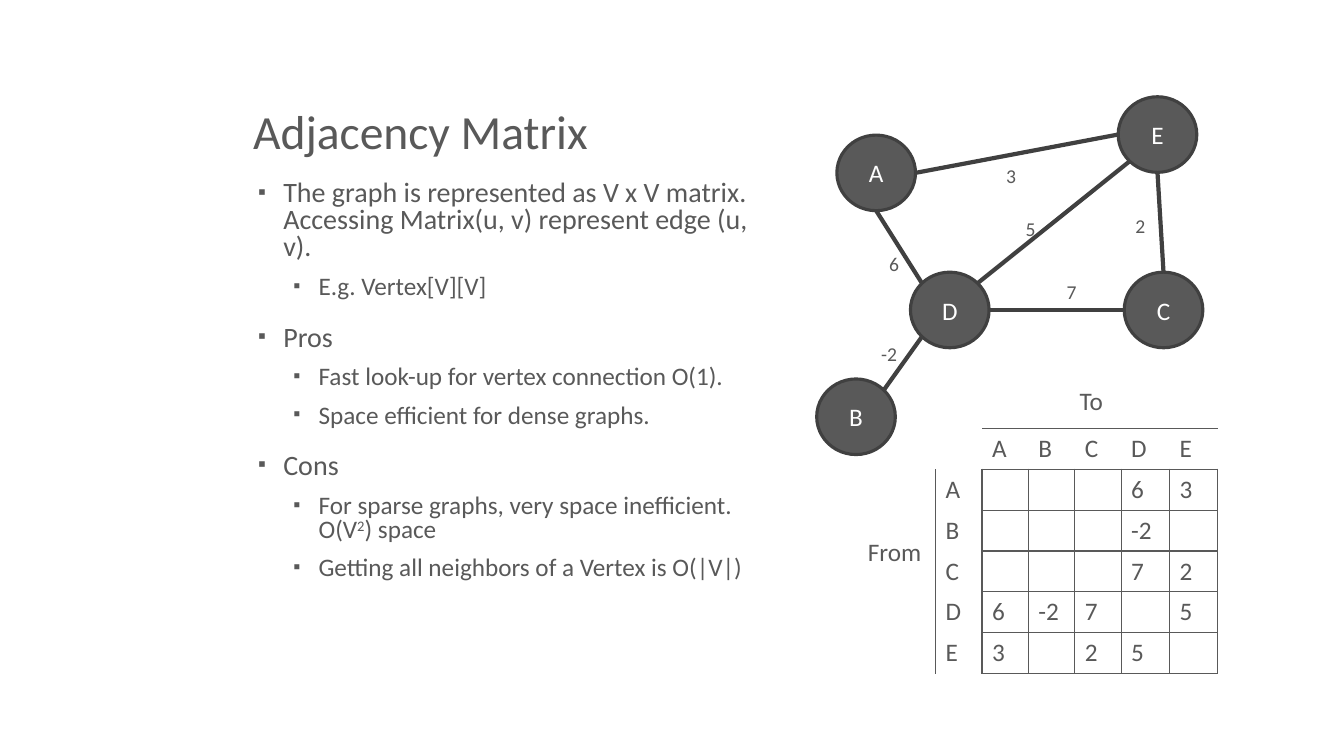
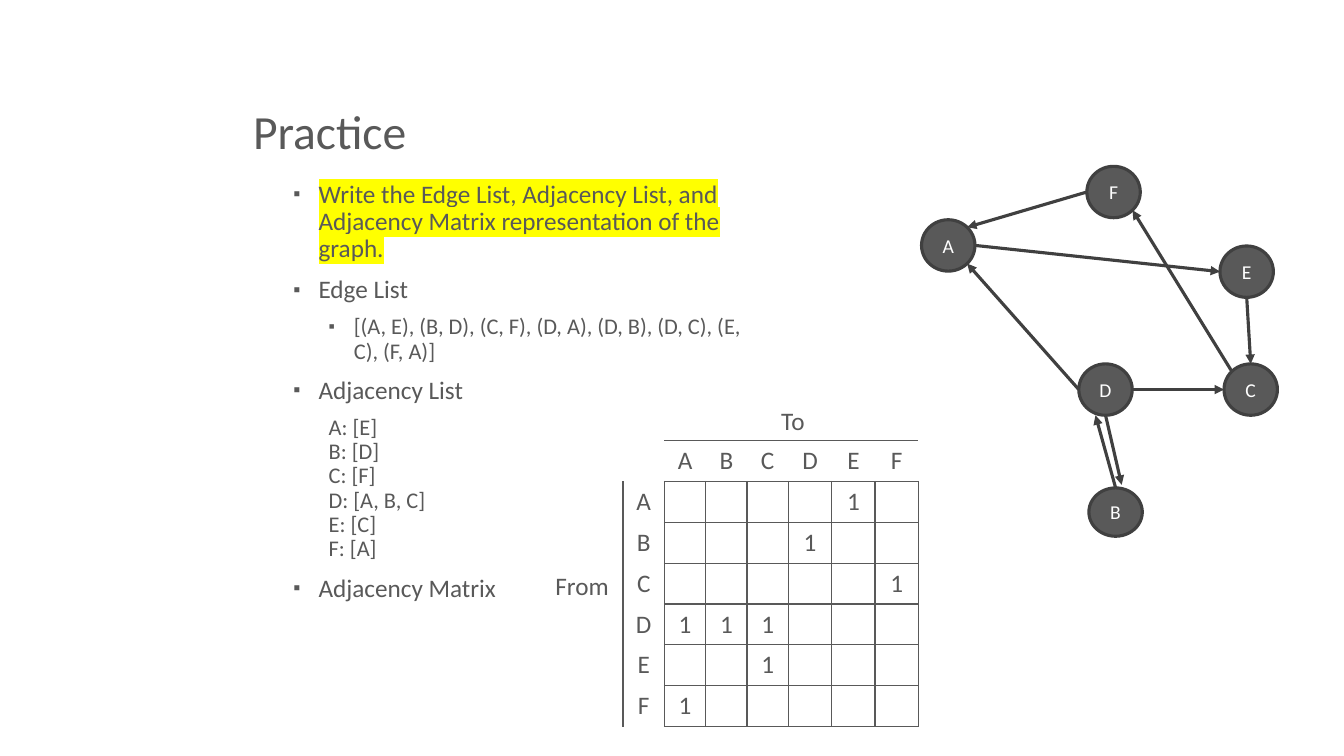
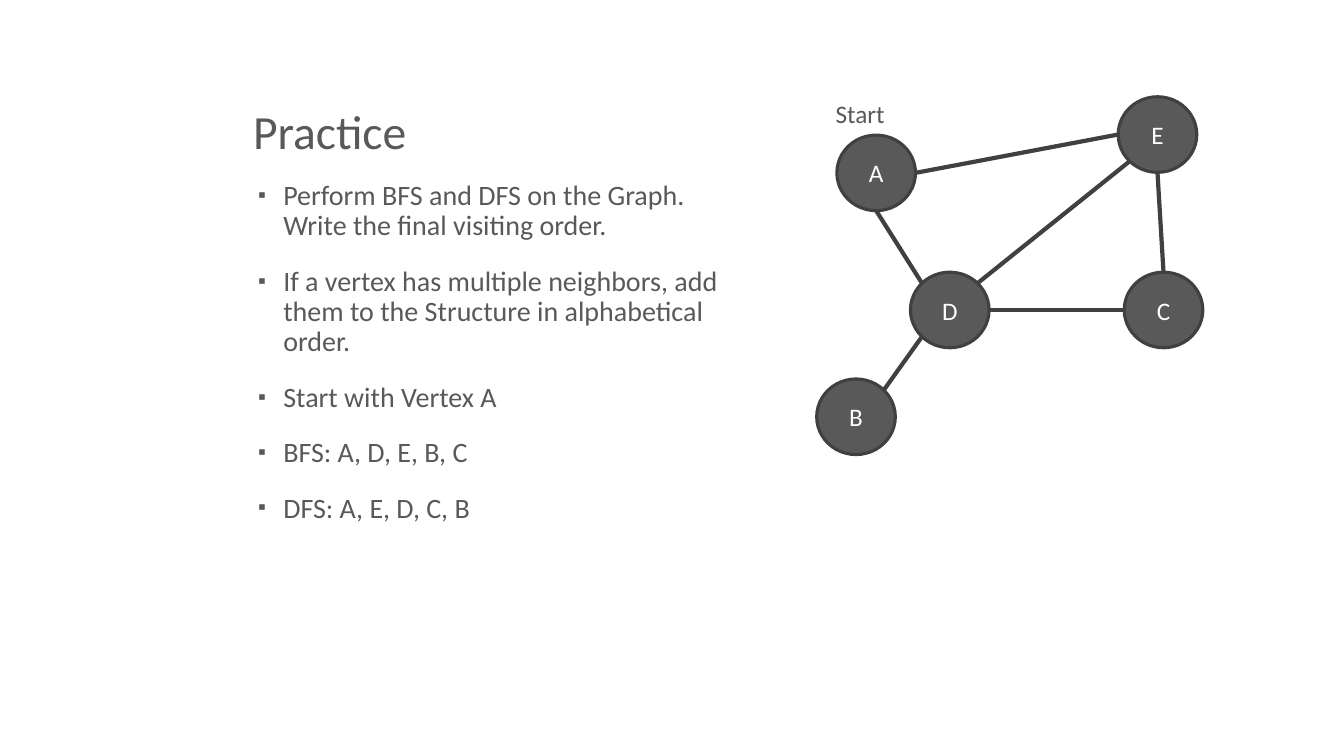
from dataclasses import dataclass
from typing import Any, Optional

from lxml.etree import SubElement
from pptx import Presentation
from pptx.dml.color import RGBColor
from pptx.enum.shapes import MSO_CONNECTOR, MSO_SHAPE
from pptx.enum.text import MSO_ANCHOR, MSO_AUTO_SIZE, PP_ALIGN
from pptx.oxml.ns import qn
from pptx.util import Inches, Pt


@dataclass(frozen=True)
class Theme:
    font: str = "Calibri"
    ink: str = "595959"
    outline: str = "404040"
    paper: str = "FFFFFF"
    highlight: str = "FFFF00"
    title_size: int = 34
    level_sizes: tuple[int, ...] = (20, 18, 16)
    level_space: tuple[int, ...] = (18, 10, 8)
    level_indent: tuple[float, ...] = (0.3, 0.65, 1)
    hanging: float = 0.25
    plain_indent: float = 0.75
    label_size: int = 18
    weight_size: int = 14
    node_line: float = 2.25
    row_height: float = 0.4
    no_table_style: str = "{2D5ABB26-0587-4C30-8999-92F81FD0307C}"


THEME = Theme()


@dataclass(frozen=True)
class Item:
    text: str
    level: int = 0
    bullet: bool = True
    highlighted: bool = False


@dataclass(frozen=True)
class Label:
    text: str
    left: float
    top: float
    width: float
    height: float = 0.4
    size: int = THEME.label_size
    wrap: bool = False


@dataclass(frozen=True)
class Node:
    name: str
    left: float
    top: float
    height: float


@dataclass(frozen=True)
class Edge:
    start: str
    start_site: str
    end: str
    end_site: str
    weight: int = 1
    label: Optional[tuple[float, float, float]] = None
    end_shift: tuple[float, float] = (0, 0)


@dataclass(frozen=True)
class Graph:
    nodes: tuple[Node, ...]
    edges: tuple[Edge, ...]
    node_width: float
    text_size: int
    edge_line: float
    directed: bool


@dataclass(frozen=True)
class Matrix:
    left: float
    top: float
    widths: tuple[float, ...]
    alignment: Any


DIAGONAL = 0.5 ** 0.5
SITES = {
    "top": (0, -1), "bottom": (0, 1), "left": (-1, 0), "right": (1, 0),
    "top left": (-DIAGONAL, -DIAGONAL), "top right": (DIAGONAL, -DIAGONAL),
    "bottom left": (-DIAGONAL, DIAGONAL), "bottom right": (DIAGONAL, DIAGONAL),
}

WEIGHTED = Graph(
    nodes=(
        Node("A", 8.3, 1.34, 0.75),
        Node("C", 11.15, 2.7, 0.75),
        Node("B", 8.1, 3.76, 0.75),
        Node("D", 9.03, 2.7, 0.75),
        Node("E", 11.09, 0.96, 0.75),
    ),
    edges=(
        Edge("A", "bottom", "D", "top left", 6, (8.72, 2.45, 0.21)),
        Edge("B", "top right", "D", "bottom left", -2, (8.64, 3.34, 0.41)),
        Edge("C", "left", "D", "right", 7, (10.48, 2.73, 0.21)),
        Edge("C", "top", "E", "bottom", 2, (11.21, 2.07, 0.15)),
        Edge("A", "right", "E", "left", 3, (9.88, 1.58, 0.21)),
        Edge("D", "top right", "E", "bottom left", 5, (10.1, 2.1, 0.17)),
    ),
    node_width=0.78, text_size=18, edge_line=3, directed=False,
)

DIRECTED = Graph(
    nodes=(
        Node("A", 9.14, 2.18, 0.51),
        Node("C", 12.14, 3.61, 0.51),
        Node("D", 10.7, 3.61, 0.51),
        Node("E", 12.1, 2.44, 0.51),
        Node("F", 10.78, 1.65, 0.51),
        Node("B", 10.8, 4.84, 0.48),
    ),
    edges=(
        Edge("D", "bottom", "B", "top", end_shift=(0.06, -0.03)),
        Edge("F", "left", "A", "top right"),
        Edge("A", "right", "E", "left"),
        Edge("E", "bottom", "C", "top"),
        Edge("D", "right", "C", "left"),
        Edge("D", "left", "A", "bottom right"),
        Edge("B", "top", "D", "bottom", end_shift=(-0.1, 0)),
        Edge("C", "top left", "F", "bottom right"),
    ),
    node_width=0.53, text_size=14, edge_line=2.25, directed=True,
)


def apply_format(target: Any, values: dict[str, Any]) -> None:
    for name, value in values.items():
        setattr(target, name, value)


def format_font(font: Any, size: float, color: str = THEME.ink) -> None:
    apply_format(font, {"name": THEME.font, "size": Pt(size), "bold": False})
    font.color.rgb = RGBColor.from_string(color)


def place(shape: Any, left: float, top: float, width: float, height: float) -> None:
    apply_format(shape, {
        "left": Inches(left), "top": Inches(top),
        "width": Inches(width), "height": Inches(height),
    })


def add_title(slide: Any, text: str) -> None:
    title = slide.shapes.title
    place(title, 2.41, 0.33, 10.25, 1.31)
    apply_format(title.text_frame, {
        "text": text, "vertical_anchor": MSO_ANCHOR.BOTTOM,
        "word_wrap": True, "auto_size": MSO_AUTO_SIZE.NONE,
    })
    paragraph = title.text_frame.paragraphs[0]
    apply_format(paragraph, {"alignment": PP_ALIGN.LEFT, "line_spacing": 0.9})
    format_font(paragraph.runs[0].font, THEME.title_size)


def set_bullet(paragraph: Any, item: Item) -> None:
    properties = paragraph._p.get_or_add_pPr()
    hanging = THEME.hanging if item.bullet else 0
    indent = THEME.level_indent[item.level] if item.bullet else THEME.plain_indent
    properties.set("marL", str(Inches(indent)))
    properties.set("indent", str(-Inches(hanging)))
    if item.bullet:
        SubElement(properties, qn("a:buSzPct"), val="80000")
        SubElement(properties, qn("a:buFont"), typeface="Arial")
        SubElement(properties, qn("a:buChar"), char="▪")
    else:
        SubElement(properties, qn("a:buNone"))


def add_runs(paragraph: Any, item: Item) -> None:
    size = THEME.level_sizes[item.level]
    for line_number, line in enumerate(item.text.split("\n")):
        if line_number:
            paragraph.add_line_break()
        for piece_number, piece in enumerate(line.split("^")):
            run = paragraph.add_run()
            run.text = piece
            format_font(run.font, size)
            properties = run._r.get_or_add_rPr()
            if piece_number % 2:
                properties.set("baseline", "30000")
            if item.highlighted:
                highlight = SubElement(properties, qn("a:highlight"))
                SubElement(highlight, qn("a:srgbClr"), val=THEME.highlight)
                properties.find(qn("a:latin")).addprevious(highlight)
    for line_break in paragraph._p.findall(qn("a:br")):
        SubElement(line_break, qn("a:rPr"), sz=str(size * 100))


def add_body(slide: Any, items: list[Item], width: float, height: float,
             line_spacing: float) -> None:
    body = slide.placeholders[1]
    place(body, 2.41, 1.75, width, height)
    frame = body.text_frame
    apply_format(frame, {
        "word_wrap": True, "auto_size": MSO_AUTO_SIZE.NONE,
        "vertical_anchor": MSO_ANCHOR.TOP,
    })
    for number, item in enumerate(items):
        paragraph = frame.add_paragraph() if number else frame.paragraphs[0]
        set_bullet(paragraph, item)
        apply_format(paragraph, {
            "level": item.level, "line_spacing": line_spacing,
            "space_before": Pt(THEME.level_space[item.level] if number else 0),
        })
        add_runs(paragraph, item)


def add_label(slide: Any, label: Label) -> None:
    box = slide.shapes.add_textbox(
        Inches(label.left), Inches(label.top), Inches(label.width), Inches(label.height))
    apply_format(box.text_frame, {
        "text": label.text, "word_wrap": label.wrap,
        "auto_size": MSO_AUTO_SIZE.SHAPE_TO_FIT_TEXT,
    })
    format_font(box.text_frame.paragraphs[0].runs[0].font, label.size)


def site_point(node: Node, width: float, site: str) -> tuple[float, float]:
    across, down = SITES[site]
    return (node.left + width / 2 * (1 + across),
            node.top + node.height / 2 * (1 + down))


def add_node(shapes: Any, node: Node, graph: Graph) -> None:
    shape = shapes.add_shape(
        MSO_SHAPE.OVAL, Inches(node.left), Inches(node.top),
        Inches(graph.node_width), Inches(node.height))
    shape.shadow.inherit = False
    shape.fill.solid()
    shape.fill.fore_color.rgb = RGBColor.from_string(THEME.ink)
    shape.line.color.rgb = RGBColor.from_string(THEME.outline)
    shape.line.width = Pt(THEME.node_line)
    apply_format(shape.text_frame, {
        "text": node.name, "vertical_anchor": MSO_ANCHOR.MIDDLE})
    paragraph = shape.text_frame.paragraphs[0]
    paragraph.alignment = PP_ALIGN.CENTER
    format_font(paragraph.runs[0].font, graph.text_size, THEME.paper)


def add_edge(shapes: Any, edge: Edge, graph: Graph) -> None:
    nodes = {node.name: node for node in graph.nodes}
    start_x, start_y = site_point(nodes[edge.start], graph.node_width, edge.start_site)
    end_x, end_y = site_point(nodes[edge.end], graph.node_width, edge.end_site)
    shift_x, shift_y = edge.end_shift
    connector = shapes.add_connector(
        MSO_CONNECTOR.STRAIGHT, Inches(start_x), Inches(start_y),
        Inches(end_x + shift_x), Inches(end_y + shift_y))
    connector.line.color.rgb = RGBColor.from_string(THEME.outline)
    connector.line.width = Pt(graph.edge_line)
    properties = connector._element.spPr
    if graph.directed:
        SubElement(properties.find(qn("a:ln")), qn("a:tailEnd"), type="triangle")
    SubElement(properties, qn("a:effectLst"))


def add_graph(slide: Any, graph: Graph) -> None:
    group = slide.shapes.add_group_shape()
    for node in graph.nodes:
        add_node(group.shapes, node, graph)
    for edge in graph.edges:
        add_edge(group.shapes, edge, graph)


def add_weights(slide: Any, graph: Graph) -> None:
    for edge in graph.edges:
        if edge.label:
            left, top, width = edge.label
            add_label(slide, Label(str(edge.weight), left, top, width, 0.25,
                                   THEME.weight_size, True))


def matrix_rows(graph: Graph) -> list[list[str]]:
    names = sorted(node.name for node in graph.nodes)
    weights = {(edge.start, edge.end): str(edge.weight) for edge in graph.edges}
    if not graph.directed:
        weights.update({(end, start): weight for (start, end), weight in weights.items()})
    return [["", *names]] + [
        [start, *(weights.get((start, end), "") for end in names)] for start in names]


def set_borders(cell: Any, sides: str) -> None:
    properties = cell._tc.get_or_add_tcPr()
    for position, side in enumerate(side for side in "LRTB" if side in sides):
        border = SubElement(properties, qn(f"a:ln{side}"), w=str(Pt(1)))
        fill = SubElement(border, qn("a:solidFill"))
        SubElement(fill, qn("a:srgbClr"), val=THEME.ink)
        properties.insert(position, border)


def add_matrix(slide: Any, matrix: Matrix, graph: Graph) -> None:
    rows = matrix_rows(graph)
    frame = slide.shapes.add_table(
        len(rows), len(rows), Inches(matrix.left), Inches(matrix.top),
        Inches(sum(matrix.widths)), Inches(THEME.row_height * len(rows)))
    table = frame.table
    apply_format(table, {"first_row": False, "horz_banding": False})
    table._tbl.tblPr.find(qn("a:tableStyleId")).text = THEME.no_table_style
    for column, width in zip(table.columns, matrix.widths):
        column.width = Inches(width)
    for row_number, row in enumerate(rows):
        table.rows[row_number].height = Inches(THEME.row_height)
        for column_number, text in enumerate(row):
            cell = table.cell(row_number, column_number)
            cell.fill.solid()
            cell.fill.fore_color.rgb = RGBColor.from_string(THEME.paper)
            set_borders(cell, ("LR" if row_number else "") + ("TB" if column_number else ""))
            paragraph = cell.text_frame.paragraphs[0]
            paragraph.alignment = matrix.alignment
            if text:
                run = paragraph.add_run()
                run.text = text
                format_font(run.font, THEME.label_size)


def add_slide(presentation: Any, title: str) -> Any:
    slide = presentation.slides.add_slide(presentation.slide_layouts[1])
    add_title(slide, title)
    return slide


def build_adjacency_matrix(presentation: Any) -> None:
    slide = add_slide(presentation, "Adjacency Matrix")
    add_body(slide, [
        Item("The graph is represented as V x V matrix. "
             "Accessing Matrix(u, v) represent edge (u, v)."),
        Item("E.g. Vertex[V][V]", 1),
        Item("Pros"),
        Item("Fast look-up for vertex connection O(1).", 1),
        Item("Space efficient for dense graphs.", 1),
        Item("Cons"),
        Item("For sparse graphs, very space inefficient. O(V^2^) space", 1),
        Item("Getting all neighbors of a Vertex is O(|V|)", 1),
    ], 5.13, 4.75, 0.8)
    add_graph(slide, WEIGHTED)
    add_matrix(slide, Matrix(9.28, 4.25, (0.46,) * 4 + (0.48,) * 2, PP_ALIGN.LEFT), WEIGHTED)
    add_weights(slide, WEIGHTED)
    add_label(slide, Label("From", 8.51, 5.27, 0.78))
    add_label(slide, Label("To", 10.61, 3.77, 0.48))


def build_representation_practice(presentation: Any) -> None:
    slide = add_slide(presentation, "Practice")
    add_body(slide, [
        Item("Write the Edge List, Adjacency List, and Adjacency Matrix "
             "representation of the graph.", 1, highlighted=True),
        Item("Edge List", 1),
        Item("[(A, E), (B, D), (C, F), (D, A), (D, B), (D, C), (E, C), (F, A)]", 2),
        Item("Adjacency List", 1),
        Item("A: [E]\nB: [D]\nC: [F]\nD: [A, B, C]\nE: [C]\nF: [A]", 2, bullet=False),
        Item("Adjacency Matrix", 1),
    ], 5.11, 4.5, 0.9)
    add_graph(slide, DIRECTED)
    add_matrix(slide, Matrix(6.18, 4.37, (0.41,) * 4 + (0.43,) * 3, PP_ALIGN.CENTER), DIRECTED)
    add_label(slide, Label("From", 5.41, 5.61, 0.78))
    add_label(slide, Label("To", 7.65, 3.97, 0.48))


def build_traversal_practice(presentation: Any) -> None:
    slide = add_slide(presentation, "Practice")
    add_body(slide, [
        Item("Perform BFS and DFS on the Graph. Write the final visiting order."),
        Item("If a vertex has multiple neighbors, add them to the Structure "
             "in alphabetical order."),
        Item("Start with Vertex A"),
        Item("BFS: A, D, E, B, C"),
        Item("DFS: A, E, D, C, B"),
    ], 5.07, 4.5, 0.9)
    add_graph(slide, WEIGHTED)
    add_label(slide, Label("Start", 8.19, 0.93, 0.76))


def main() -> None:
    presentation = Presentation()
    apply_format(presentation, {"slide_width": Inches(13.33), "slide_height": Inches(7.5)})
    build_adjacency_matrix(presentation)
    build_representation_practice(presentation)
    build_traversal_practice(presentation)
    presentation.save("out.pptx")


if __name__ == "__main__":
    main()
